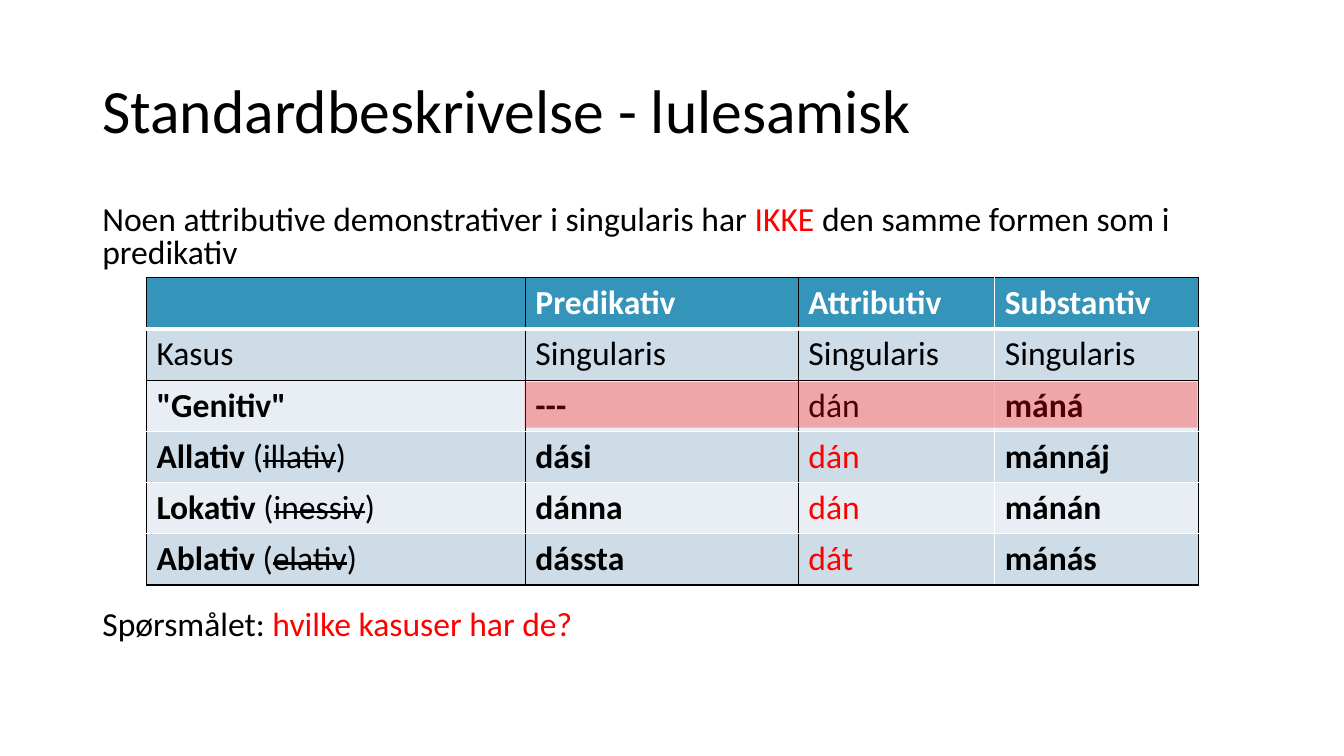
from lxml import etree
from pptx import Presentation
from pptx.dml.color import RGBColor
from pptx.enum.shapes import MSO_SHAPE
from pptx.enum.text import MSO_ANCHOR
from pptx.oxml.ns import qn
from pptx.util import Cm, Pt

RECT = MSO_SHAPE.RECTANGLE
MIDDLE = MSO_ANCHOR.MIDDLE
TOP = MSO_ANCHOR.TOP

BLACK = RGBColor(0x00, 0x00, 0x00)
WHITE = RGBColor(0xFF, 0xFF, 0xFF)
RED = RGBColor(0xFF, 0x00, 0x00)
TEAL = RGBColor(0x34, 0x94, 0xBA)
DARK = RGBColor(0xCE, 0xDC, 0xE7)
LIGHT = RGBColor(0xE8, 0xEE, 0xF3)

FONT = "Calibri"
WIDTHS = (9.55, 6.88, 4.95, 5.13)
HEIGHT = 1.29
ACROSS = ((BLACK, 1), (WHITE, 3), (BLACK, 1), (WHITE, 1), (WHITE, 1), (WHITE, 1), (BLACK, 1))
DOWN = ((BLACK, 1), (BLACK, 1), (BLACK, 1), (WHITE, 1), (BLACK, 1))

HEADS = ("", "Predikativ", "Attributiv", "Substantiv")
LABELS = ("Kasus", "Singularis", "Singularis", "Singularis")
CASES = (
    ('"Genitiv"', "", "---", "dán", "máná"),
    ("Allativ ", "illativ", "dási", "dán", "mánnáj"),
    ("Lokativ ", "inessiv", "dánna", "dán", "mánán"),
    ("Ablativ ", "elativ", "dássta", "dát", "mánás"),
)


def add_run(para, text, size=24, color=BLACK, bold=False, strike=False):
    run = para.add_run()
    run.text = text
    font = run.font
    font.name = FONT
    font.size = Pt(size)
    font.bold = bold
    font.color.rgb = color
    if strike:
        run._r.get_or_add_rPr().set("strike", "sngStrike")


def add_text(slide, place, parts, size, space, anchor=TOP):
    box = slide.shapes.add_textbox(*map(Cm, place))
    frame = box.text_frame
    frame.word_wrap = True
    frame.vertical_anchor = anchor
    para = frame.paragraphs[0]
    para.line_spacing = space
    for text, color in parts:
        add_run(para, text, size, color)


def add_edge(cell, side, color, width):
    props = cell._tc.get_or_add_tcPr()
    line = etree.SubElement(props, qn("a:ln" + side), w=str(Pt(width)))
    fill = etree.SubElement(line, qn("a:solidFill"))
    etree.SubElement(fill, qn("a:srgbClr"), val=str(color))


def style_cell(cell, row, col):
    add_edge(cell, "L", *DOWN[col])
    add_edge(cell, "R", *DOWN[col + 1])
    add_edge(cell, "T", *ACROSS[row])
    add_edge(cell, "B", *ACROSS[row + 1])
    cell.fill.solid()
    cell.fill.fore_color.rgb = TEAL if row == 0 else DARK if row % 2 else LIGHT


def fill_case(cells, case, first):
    name, old, pred, attr, noun = case
    paras = [cell.text_frame.paragraphs[0] for cell in cells]
    add_run(paras[0], name, bold=True)
    if old:
        add_run(paras[0], "(")
        add_run(paras[0], old, strike=True)
        add_run(paras[0], ")")
    add_run(paras[1], pred, bold=True)
    add_run(paras[2], attr, color=BLACK if first else RED)
    add_run(paras[3], noun, bold=True)


def add_grid(slide, left, top):
    count = len(CASES) + 2
    frame = slide.shapes.add_table(
        count, len(WIDTHS), Cm(left), Cm(top), Cm(sum(WIDTHS)), Cm(HEIGHT * count))
    table = frame.table
    table.first_row = False
    table.horz_banding = False
    for col, width in zip(table.columns, WIDTHS):
        col.width = Cm(width)
    for r, row in enumerate(table.rows):
        row.height = Cm(HEIGHT)
        for c, cell in enumerate(row.cells):
            style_cell(cell, r, c)
    for c, (head, label) in enumerate(zip(HEADS, LABELS)):
        if head:
            add_run(table.cell(0, c).text_frame.paragraphs[0], head, color=WHITE, bold=True)
        add_run(table.cell(1, c).text_frame.paragraphs[0], label)
    for r, case in enumerate(CASES):
        fill_case(list(table.rows[r + 2].cells), case, r == 0)


def add_veil(slide, place, color, alpha):
    veil = slide.shapes.add_shape(RECT, *map(Cm, place))
    veil.shadow.inherit = False
    veil.line.fill.background()
    veil.fill.solid()
    veil.fill.fore_color.rgb = color
    tint = veil._element.spPr.find(".//" + qn("a:srgbClr"))
    etree.SubElement(tint, qn("a:alpha"), val=str(alpha * 1000))


def main():
    deck = Presentation()
    deck.slide_width = Cm(33.87)
    deck.slide_height = Cm(19.05)
    slide = deck.slides.add_slide(deck.slide_layouts[6])
    add_text(slide, (2.33, 1.01, 29.21, 3.68),
             [("Standardbeskrivelse - lulesamisk", BLACK)], 44, 0.9, MIDDLE)
    add_text(slide, (2.33, 5.07, 30.53, 1.9),
             [("Noen attributive demonstrativer i singularis har ", BLACK),
              ("IKKE", RED),
              (" den samme formen som i predikativ", BLACK)], 24, 0.8)
    add_text(slide, (2.33, 15.26, 30.53, 1.2),
             [("Spørsmålet: ", BLACK), ("hvilke kasuser har de?", RED)], 24, 0.8)
    add_grid(slide, 3.69, 7)
    add_veil(slide, (13.22, 9.63, 16.96, 1.15), RED, 30)
    deck.save("out.pptx")


if __name__ == "__main__":
    main()
